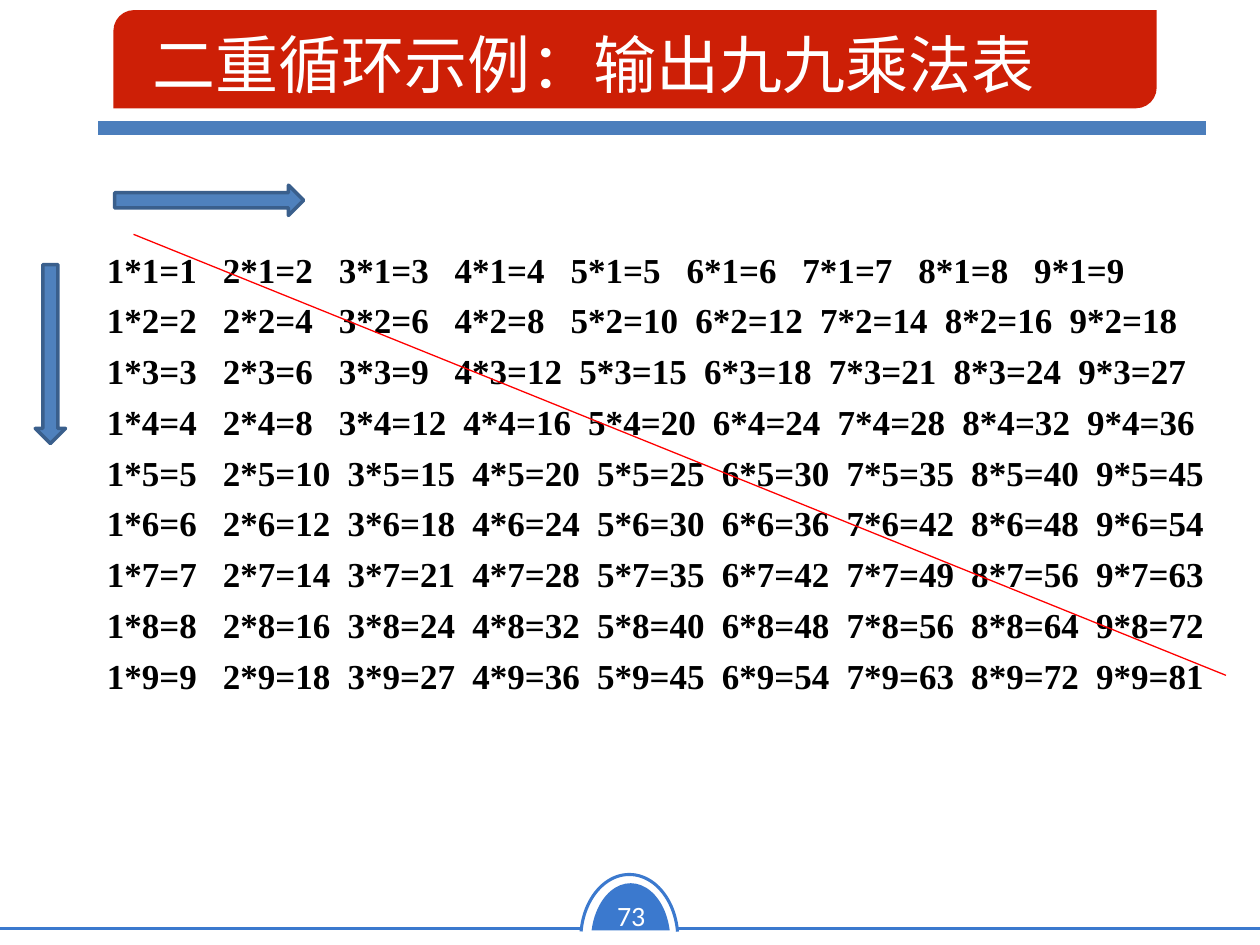
from dataclasses import dataclass

from pptx import Presentation
from pptx.dml.color import RGBColor
from pptx.enum.shapes import MSO_CONNECTOR, MSO_SHAPE
from pptx.enum.text import MSO_ANCHOR, MSO_AUTO_SIZE, PP_ALIGN
from pptx.oxml.ns import qn
from pptx.util import Inches, Pt
from lxml.etree import SubElement


@dataclass(frozen=True)
class Theme:
    footer: str = "3B79CE"
    rule: str = "4B7EBC"
    banner: str = "CD1F06"
    arrow: str = "4F81BD"
    arrow_edge: str = "3A5F8C"
    diagonal: str = "FF0000"
    white: str = "FFFFFF"
    black: str = "000000"
    title_size: int = 36
    table_size: int = 20
    number_size: int = 16
    title_font: str = "Noto Sans CJK SC"
    table_font: str = "Times New Roman"
    number_font: str = "Calibri"


@dataclass(frozen=True)
class Line:
    start: tuple[float, float]
    end: tuple[float, float]
    color: str
    width: float


@dataclass(frozen=True)
class Block:
    kind: MSO_SHAPE
    box: tuple[float, float, float, float]
    fill: str | None = None
    edge: str | None = None
    width: float = 2
    adj: tuple[float, ...] = ()
    rotation: float = 0


T = Theme()

# Column pitch after a product of one or two digits
PITCH = {1: 0.92, 2: 0.99}

FOOTER_BLOCKS = [
    Block(MSO_SHAPE.CHORD, (4.55, 7.15, 0.91, 0.63), fill=T.footer,
          adj=(62.75, 153.29), rotation=90),
    Block(MSO_SHAPE.ARC, (4.61, 6.94, 0.77, 1.02), edge=T.footer, width=1.77,
          adj=(113.17, 210.98)),
]
FRAME_LINES = [
    Line((5.38, 7.37), (10, 7.37), T.footer, 1.77),
    Line((0, 7.37), (4.62, 7.37), T.footer, 1.77),
    Line((0.78, 1.02), (9.57, 1.02), T.rule, 8),
]
DIAGONAL = Line((1.06, 1.86), (9.73, 5.36), T.diagonal, 0.75)
BANNER = Block(MSO_SHAPE.ROUND_2_DIAG_RECTANGLE, (0.9, 0.08, 8.28, 0.78),
               fill=T.banner, adj=(0.21, 0))
ARROWS = [
    Block(MSO_SHAPE.DOWN_ARROW, (0.28, 2.1, 0.24, 1.42), T.arrow, T.arrow_edge),
    Block(MSO_SHAPE.RIGHT_ARROW, (0.91, 1.47, 1.5, 0.24), T.arrow, T.arrow_edge),
]


def rgb(color: str) -> RGBColor:
    return RGBColor.from_string(color)


def add_line(s, line: Line) -> None:
    points = [Inches(v) for v in (*line.start, *line.end)]
    cn = s.shapes.add_connector(MSO_CONNECTOR.STRAIGHT, *points)
    cn.line.color.rgb = rgb(line.color)
    cn.line.width = Pt(line.width)
    SubElement(cn._element.spPr, qn("a:effectLst"))


def add_block(s, block: Block) -> None:
    sp = s.shapes.add_shape(block.kind, *map(Inches, block.box))
    sp.shadow.inherit = False
    sp.rotation = block.rotation
    for i, value in enumerate(block.adj):
        sp.adjustments[i] = value
    if block.fill:
        sp.fill.solid()
        sp.fill.fore_color.rgb = rgb(block.fill)
    else:
        sp.fill.background()
    if block.edge:
        sp.line.color.rgb = rgb(block.edge)
        sp.line.width = Pt(block.width)
    else:
        sp.line.fill.background()


def set_tabs(p, stops: list[float]) -> None:
    tabs = SubElement(p._p.get_or_add_pPr(), qn("a:tabLst"))
    for stop in stops:
        SubElement(tabs, qn("a:tab"), pos=str(Inches(stop)), algn="l")


def write_text(sp, lines: list[str], *, font: str, size: int, color: str,
               bold: bool = False, align=PP_ALIGN.LEFT, anchor=MSO_ANCHOR.TOP,
               wrap: bool = True, inset: tuple[float, float] = (0.1, 0.05),
               gap: float = 0, tabs: list[list[float]] | None = None) -> None:
    tf = sp.text_frame
    tf.word_wrap = wrap
    tf.auto_size = MSO_AUTO_SIZE.NONE
    tf.vertical_anchor = anchor
    tf.margin_left = tf.margin_right = Inches(inset[0])
    tf.margin_top = tf.margin_bottom = Inches(inset[1])
    for i, text in enumerate(lines):
        p = tf.add_paragraph() if i else tf.paragraphs[0]
        p.alignment = align
        p.line_spacing = 1.0
        p.space_before = Pt(gap if i else 0)
        if tabs:
            set_tabs(p, tabs[i])
        r = p.add_run()
        r.text = text
        r.font.name, r.font.size, r.font.bold = font, Pt(size), bold
        r.font.color.rgb = rgb(color)
        SubElement(r._r.get_or_add_rPr(), qn("a:ea"), typeface=font)


def add_times_table(s) -> None:
    rows, tabs = [], []
    for row in range(1, 10):
        rows.append("\t".join(f"{col}*{row}={col * row}" for col in range(1, 10)))
        stops, x = [], 0.0
        for col in range(1, 9):
            x += PITCH[len(str(col * row))]
            stops.append(x)
        tabs.append(stops)
    sp = s.shapes.add_textbox(*map(Inches, (0.75, 1.92, 9.08, 4.42)))
    write_text(sp, rows, font=T.table_font, size=T.table_size, color=T.black,
               bold=True, gap=5, tabs=tabs)


def main() -> None:
    prs = Presentation()
    prs.slide_width, prs.slide_height = Inches(10), Inches(7.5)
    s = prs.slides.add_slide(prs.slide_layouts[5])

    # Footer badge, page number and rules
    for block in FOOTER_BLOCKS:
        add_block(s, block)
    for line in FRAME_LINES:
        add_line(s, line)
    number = s.shapes.add_textbox(*map(Inches, (4.78, 7.08, 0.46, 0.37)))
    write_text(number, ["73"], font=T.number_font, size=T.number_size,
               color=T.white, align=PP_ALIGN.CENTER, wrap=False)

    # Multiplication table and its diagonal
    add_times_table(s)
    add_line(s, DIAGONAL)

    # Title, brought in front of its banner
    add_block(s, BANNER)
    title = s.shapes.title
    title.left, title.top, title.width, title.height = map(
        Inches, (1.21, 0.2, 7.72, 0.61))
    write_text(title, ["二重循环示例：输出九九乘法表"], font=T.title_font,
               size=T.title_size, color=T.white, anchor=MSO_ANCHOR.MIDDLE,
               inset=(0, 0))
    s.shapes._spTree.append(title._element)

    # Reading direction arrows
    for block in ARROWS:
        add_block(s, block)

    prs.save("out.pptx")


if __name__ == "__main__":
    main()
